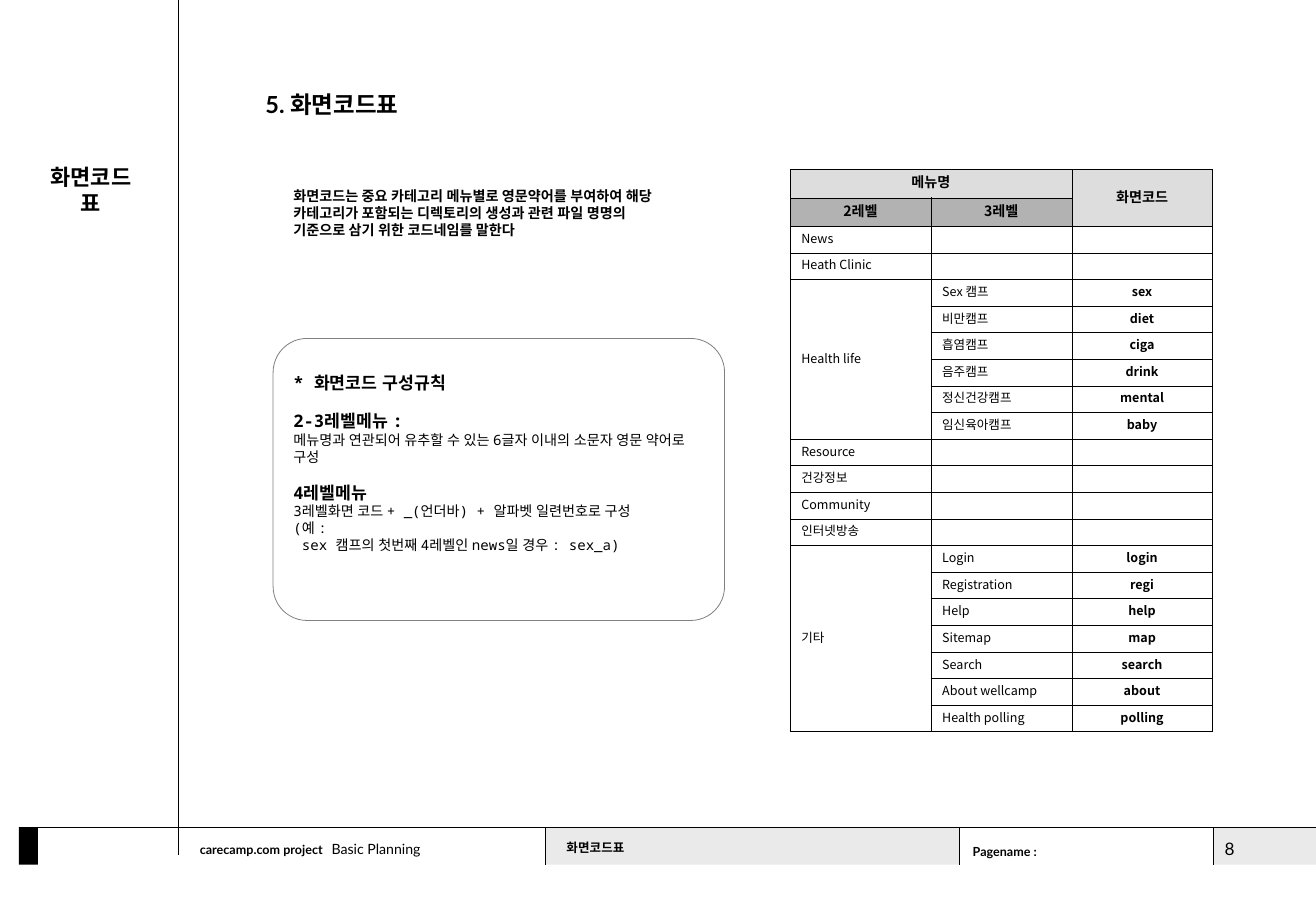
from lxml import etree
from pptx import Presentation
from pptx.dml.color import RGBColor
from pptx.enum.lang import MSO_LANGUAGE_ID
from pptx.enum.shapes import MSO_CONNECTOR, MSO_SHAPE
from pptx.enum.text import MSO_ANCHOR, MSO_AUTO_SIZE, PP_ALIGN
from pptx.oxml.ns import qn
from pptx.util import Emu, Pt

RECT, ROUND = MSO_SHAPE.RECTANGLE, MSO_SHAPE.ROUNDED_RECTANGLE
STRAIGHT = MSO_CONNECTOR.STRAIGHT
LEFT, CENTER = PP_ALIGN.LEFT, PP_ALIGN.CENTER
TOP, MIDDLE = MSO_ANCHOR.TOP, MSO_ANCHOR.MIDDLE
KOREAN = MSO_LANGUAGE_ID.KOREAN
PX = 914400 / 250  # 250 px to the inch
LATO, MONO, CJK = "Lato", "Noto Sans Mono", "Noto Sans CJK KR"


def emu(*lengths):
    return [Emu(round(n * PX)) for n in lengths]


def write(tf, text, size=9, bold=False, font=LATO, align=LEFT, before=0, indent=0, same=False):
    """Add a paragraph, or continue the last one when same is set."""
    p = tf.paragraphs[-1]
    if p.runs and not same:
        p = tf.add_paragraph()
    if not same:
        p.alignment, p.line_spacing, p.space_before = align, Pt(size * 1.2), Pt(before)
        if indent:
            p._p.get_or_add_pPr().set("marL", str(emu(indent)[0]))
    r = p.add_run()
    r.text = text
    r.font.size, r.font.bold, r.font.name = Pt(size), bold, font
    r.font.color.rgb = RGBColor.from_string("000000")
    r.font.language_id = KOREAN
    ea = etree.Element(qn("a:ea"), typeface=CJK if font == CJK else LATO)
    r._r.rPr.find(qn("a:latin")).addnext(ea)


prs = Presentation()
prs.slide_width, prs.slide_height = emu(2915, 2032)
s = prs.slides.add_slide(prs.slide_layouts[5])

# Footer blocks and rule box
for kind, box, fill, line in [
    (RECT, (1208, 1833, 917, 83), "EAEAEA", None),
    (RECT, (2688, 1833, 227, 83), "EAEAEA", None),
    (RECT, (42, 1833, 42, 83), "000000", None),
    (ROUND, (605, 750, 1000, 625), None, "808080"),
]:
    sp = s.shapes.add_shape(kind, *emu(*box))
    sp.shadow.inherit = False
    if fill:
        sp.fill.solid()
        sp.fill.fore_color.rgb = RGBColor.from_string(fill)
    else:
        sp.fill.background()
    if line:
        sp.adjustments[0] = 0.12
        sp.line.color.rgb = RGBColor.from_string(line)
        sp.line.width = Pt(0.5)
    else:
        sp.line.fill.background()

# Frame lines
for ends, width in [
    ((42, 1833, 2915, 1833), 0.75),
    ((1208, 1833, 1208, 1917), 0.25),
    ((2125, 1833, 2125, 1917), 0.25),
    ((2688, 1833, 2688, 1917), 0.75),
    ((395, 0, 395, 1895), 0.5),
]:
    line = s.shapes.add_connector(STRAIGHT, *emu(*ends))
    line.line.color.rgb = RGBColor.from_string("000000")
    line.line.width = Pt(width)
    etree.SubElement(line._element.spPr, qn("a:effectLst"))

# Title
title = s.shapes.title
title.left, title.top, title.width, title.height = emu(563, 188, 1645, 88)
tf = title.text_frame
tf.auto_size, tf.vertical_anchor = MSO_AUTO_SIZE.NONE, TOP
write(tf, "5. 화면코드표", size=15, bold=True)

# Text boxes
frames = {}
for name, box, wrap in [
    ("project", (418, 1855, 750, 63), True),
    ("pagename", (2130, 1858, 213, 60), False),
    ("number", (2688, 1845, 125, 78), True),
    ("side", (65, 350, 273, 85), False),
    ("section", (1230, 1850, 355, 60), True),
    ("intro", (625, 403, 895, 138), True),
    ("rules", (625, 813, 955, 428), True),
]:
    frames[name] = s.shapes.add_textbox(*emu(*box)).text_frame
    frames[name].word_wrap = wrap

write(frames["project"], "carecamp.com project", size=8, bold=True)
write(frames["project"], " ", font=MONO, same=True)
write(frames["project"], "Basic Planning", same=True)
write(frames["pagename"], "Pagename :", size=8, bold=True)
write(frames["number"], "8", size=11)
write(frames["side"], "화면코드표", size=14, bold=True, align=CENTER)
write(frames["section"], "화면코드표", size=8, bold=True)
write(frames["intro"], "화면코드는 중요 카테고리 메뉴별로 영문약어를 부여하여 해당 카테고리가 포함되는 "
      "디렉토리의 생성과 관련 파일 명명의 기준으로 삼기 위한 코드네임를 말한다", bold=True, font=MONO)

# Code rules: headings with their text
for i, (heading, lines) in enumerate([
    ("* 화면코드 구성규칙", []),
    ("2-3레벨메뉴 :", ["메뉴명과 연관되어 유추할 수 있는 6글자 이내의 소문자 영문 약어로 구성"]),
    ("4레벨메뉴", ["3레벨화면 코드 + _(언더바) + 알파벳 일련번호로 구성", "(예 :",
                "sex 캠프의 첫번째 4레벨인 news일 경우 : sex_a)"]),
]):
    write(frames["rules"], heading, size=11, bold=True, font=MONO, before=11 if i else 0)
    for text in lines:
        write(frames["rules"], text, font=MONO, indent=19 if text.startswith("sex") else 0)

# Code table: level 2 menus with their level 3 menus and codes
menus = [
    ("News", []),
    ("Heath Clinic", []),
    ("Health life", [("Sex 캠프", "sex"), ("비만캠프", "diet"), ("흡염캠프", "ciga"),
                     ("음주캠프", "drink"), ("정신건강캠프", "mental"), ("임신육아캠프", "baby")]),
    ("Resource", []),
    ("건강정보", []),
    ("Community", []),
    ("인터넷방송", []),
    ("기타", [("Login", "login"), ("Registration", "regi"), ("Help", "help"),
            ("Sitemap", "map"), ("Search", "search"), ("About wellcamp", "about"),
            ("Health polling", "polling")]),
]
rows = [("메뉴명", "", "화면코드"), ("2레벨", "3레벨", "")]
merges = [(0, 0, 0, 1), (0, 2, 1, 2)]
for menu, pages in menus:
    if len(pages) > 1:
        merges.append((len(rows), 0, len(rows) + len(pages) - 1, 0))
    for i, (page, code) in enumerate(pages or [("", "")]):
        rows.append(("" if i else menu, page, code))

heights = [63] * 2 + [59] * (len(rows) - 2)
table = s.shapes.add_table(len(rows), 3, *emu(1750, 375, 936, sum(heights))).table
table.first_row = table.horz_banding = False
for col in table.columns:
    col.width = emu(312)[0]
for y, (row, height) in enumerate(zip(rows, heights)):
    table.rows[y].height = emu(height)[0]
    for x, text in enumerate(row):
        cell = table.cell(y, x)
        cell.vertical_anchor = MIDDLE
        cell.margin_left = cell.margin_right = emu(25)[0]
        cell.margin_top = cell.margin_bottom = Pt(3.6)
        if y < 2:
            cell.fill.solid()
            cell.fill.fore_color.rgb = RGBColor.from_string("B2B2B2" if y and x < 2 else "DDDDDD")
        else:
            cell.fill.background()
        if text:
            write(cell.text_frame, text, size=9 if y < 2 else 8, bold=y < 2 or x == 2,
                  font=CJK, align=CENTER if y < 2 or x == 2 else LEFT)
        else:
            p = cell.text_frame.paragraphs[0]
            p.line_spacing = Pt(9.6)
            p._p.get_or_add_endParaRPr().set("sz", "800")
        for i, side in enumerate(("lnL", "lnR", "lnT", "lnB")):
            ln = etree.Element(qn("a:" + side), w=str(Pt(0.23)))
            fill = etree.SubElement(ln, qn("a:solidFill"))
            etree.SubElement(fill, qn("a:srgbClr"), val="000000")
            cell._tc.get_or_add_tcPr().insert(i, ln)
for y1, x1, y2, x2 in merges:
    table.cell(y1, x1).merge(table.cell(y2, x2))

prs.save("out.pptx")
